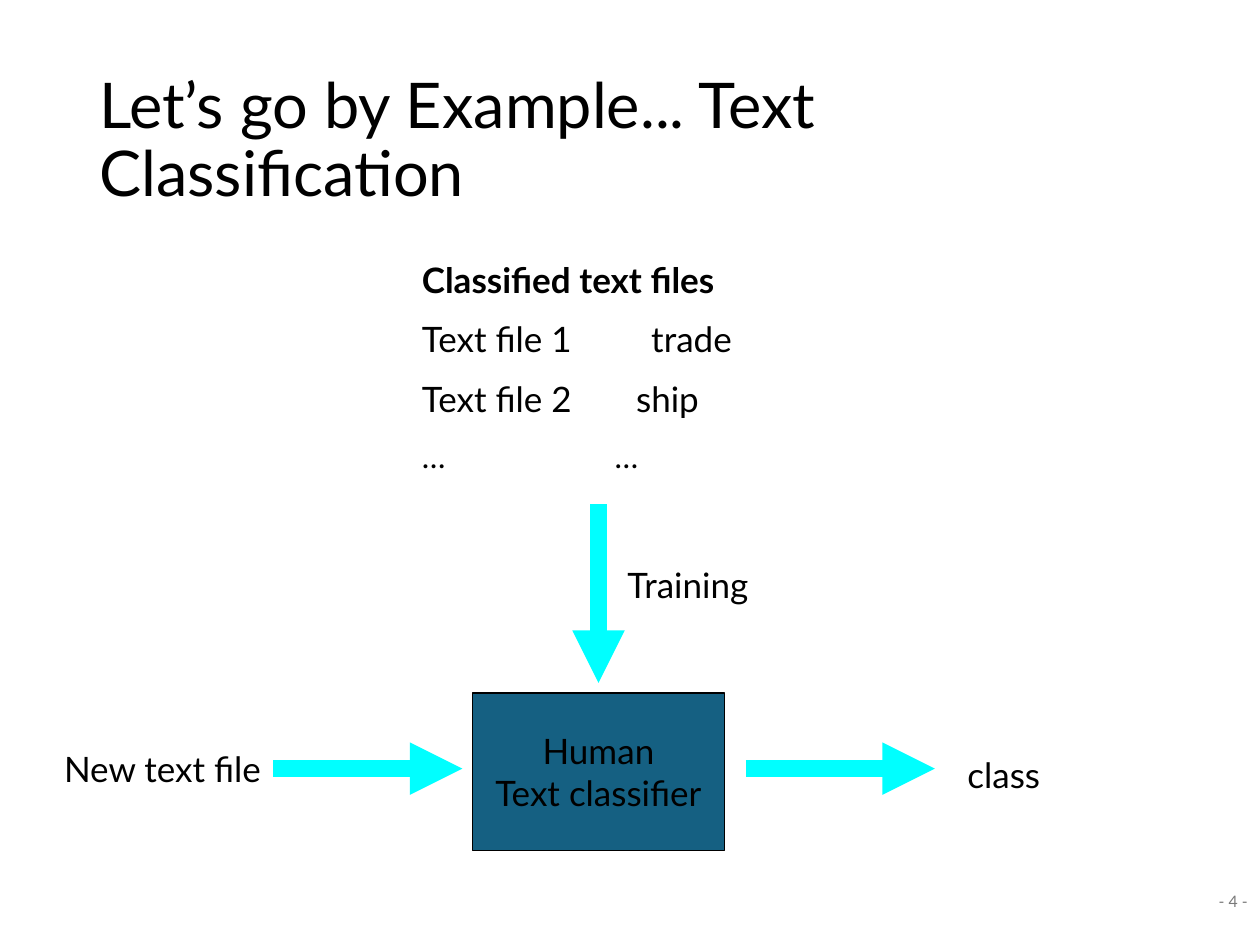
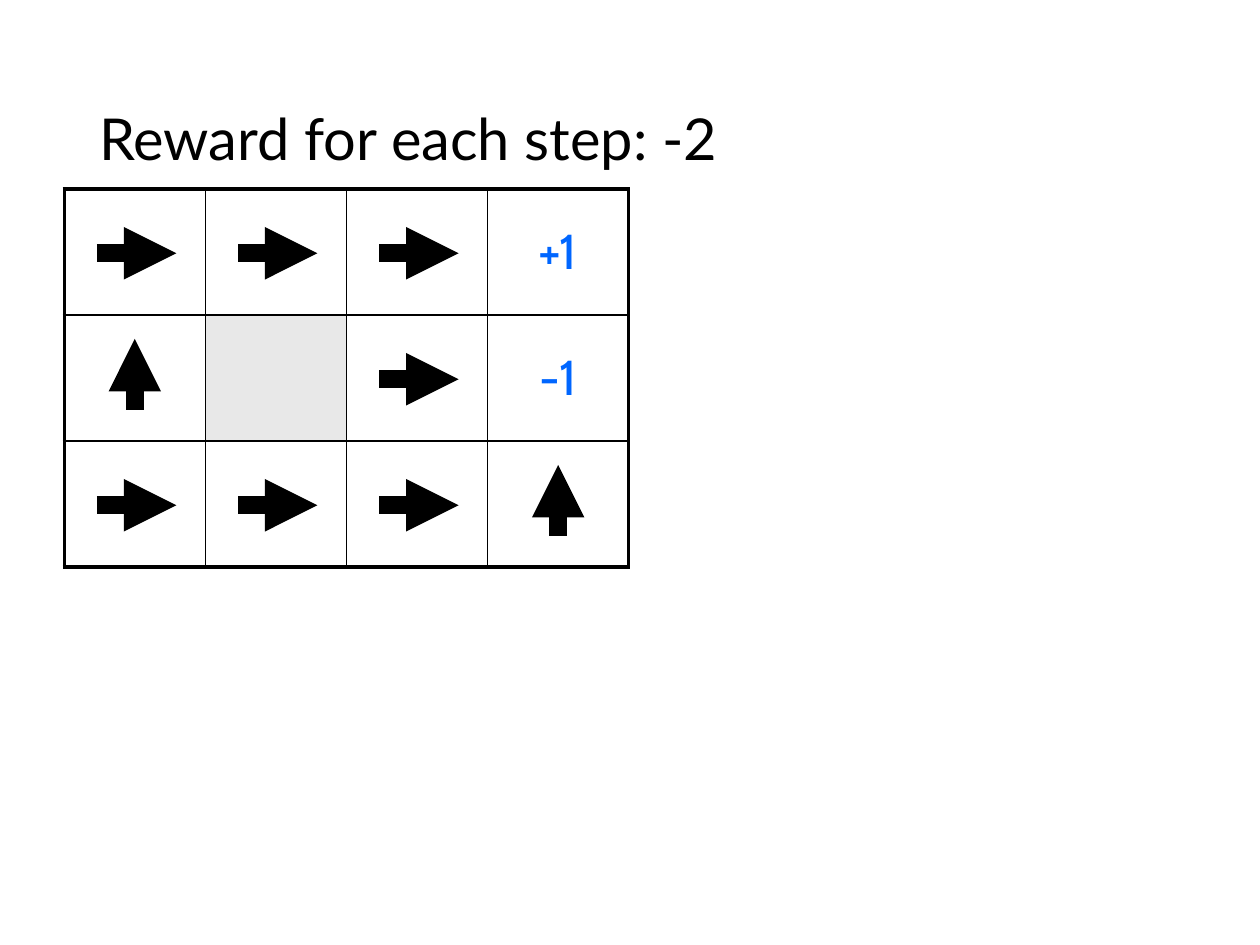
from dataclasses import dataclass

from lxml import etree
from pptx import Presentation
from pptx.dml.color import RGBColor
from pptx.enum.shapes import MSO_CONNECTOR, MSO_SHAPE
from pptx.enum.text import MSO_ANCHOR, PP_ALIGN
from pptx.oxml.ns import qn
from pptx.util import Inches, Pt

LEFT, CENTER, RIGHT = PP_ALIGN.LEFT, PP_ALIGN.CENTER, PP_ALIGN.RIGHT
TOP, MIDDLE = MSO_ANCHOR.TOP, MSO_ANCHOR.MIDDLE
STRAIGHT, RECTANGLE = MSO_CONNECTOR.STRAIGHT, MSO_SHAPE.RECTANGLE


@dataclass(frozen=True)
class Theme:
    font: str = "Lato"
    reward_font: str = "Cabin"
    black: str = "000000"
    white: str = "FFFFFF"
    page_number: str = "797979"
    classifier: str = "156082"
    flow: str = "00FFFF"
    wall: str = "E8E8E8"
    reward: str = "0066FF"
    title_size: int = 36
    small_title_size: int = 33
    reward_size: int = 28
    body_size: int = 20
    ellipsis_size: int = 18
    footer_size: int = 9
    arrow_width: float = 10
    outer_border: float = 2.25
    inner_border: float = 1
    box_border: float = 0.75


THEME = Theme()

TABLE_LEFT, TABLE_TOP = 0.51, 1.5
CELL_WIDTH, CELL_HEIGHT = 1.12, 1.0
POLICY = [
    ["right", "right", "right", "+1"],
    ["up", "wall", "right", "-1"],
    ["right", "right", "right", "up"],
]
MOVES = {
    "right": ((-0.3, 0.01), (0.33, 0.01)),
    "up": ((0, 0.25), (0, -0.31)),
}


def color(value):
    return RGBColor.from_string(value)


def write(para, text, size=THEME.body_size, ink=THEME.black, font=THEME.font,
          bold=False, align=LEFT, before=0, spacing=None, tab=None):
    para.text = text
    para.alignment = align
    para.space_before = Pt(before)
    if spacing:
        para.line_spacing = spacing
    if tab:
        tabs = etree.SubElement(para._p.get_or_add_pPr(), qn("a:tabLst"))
        etree.SubElement(tabs, qn("a:tab"), pos=str(Inches(tab)), algn="l")
    for span in para.runs:
        span.font.name = font
        span.font.size = Pt(size)
        span.font.bold = bold
        span.font.color.rgb = color(ink)


def add_text(page, left, top, width, height, text, anchor=TOP, **style):
    box = page.shapes.add_textbox(Inches(left), Inches(top), Inches(width), Inches(height))
    frame = box.text_frame
    frame.word_wrap = True
    frame.vertical_anchor = anchor
    write(frame.paragraphs[0], text, **style)
    return frame


def add_title(page, text, size):
    add_text(page, 0.69, 0.4, 8.62, 1.45, text, anchor=MIDDLE, size=size, spacing=0.9)


def add_page_number(page, text):
    add_text(page, 7.75, 6.95, 2.25, 0.4, text, anchor=MIDDLE,
             size=THEME.footer_size, ink=THEME.page_number, align=RIGHT)


def add_arrow(page, start, end, ink):
    arrow = page.shapes.add_connector(STRAIGHT, *(Inches(value) for value in (*start, *end)))
    arrow.line.color.rgb = color(ink)
    arrow.line.width = Pt(THEME.arrow_width)
    etree.SubElement(arrow.line._get_or_add_ln(), qn("a:tailEnd"), type="triangle")
    etree.SubElement(arrow._element.spPr, qn("a:effectLst"))


def add_classifier(page, text):
    box = page.shapes.add_shape(RECTANGLE, Inches(3.75), Inches(5.5), Inches(2), Inches(1.25))
    box.shadow.inherit = False
    box.fill.solid()
    box.fill.fore_color.rgb = color(THEME.classifier)
    box.line.color.rgb = color(THEME.black)
    box.line.width = Pt(THEME.box_border)
    box.text_frame.vertical_anchor = MIDDLE
    write(box.text_frame.paragraphs[0], text, align=CENTER)


def add_labelled_files(page):
    frame = add_text(page, 3.25, 2, 2.92, 1.95, "Classified text files", bold=True)
    rows = [
        ("Text file 1\ttrade", 1.82, THEME.body_size),
        ("Text file 2\tship", 1.7, THEME.body_size),
        ("…\t…", 1.53, THEME.ellipsis_size),
    ]
    for text, tab, size in rows:
        write(frame.add_paragraph(), text, size=size, before=10, tab=tab)


def set_border(cell, side, width):
    border = etree.SubElement(cell._tc.get_or_add_tcPr(), qn(f"a:ln{side}"), w=str(Pt(width)))
    fill = etree.SubElement(border, qn("a:solidFill"))
    etree.SubElement(fill, qn("a:srgbClr"), val=THEME.black)


def add_policy_grid(page):
    row_count, column_count = len(POLICY), len(POLICY[0])
    table = page.shapes.add_table(
        row_count, column_count, Inches(TABLE_LEFT), Inches(TABLE_TOP),
        Inches(CELL_WIDTH * column_count), Inches(CELL_HEIGHT * row_count)).table
    table.first_row = False
    table.horz_banding = False
    for row, contents in enumerate(POLICY):
        for column, content in enumerate(contents):
            cell = table.cell(row, column)
            outer_sides = {
                "L": column == 0, "R": column == column_count - 1,
                "T": row == 0, "B": row == row_count - 1,
            }
            for side, outer in outer_sides.items():
                set_border(cell, side, THEME.outer_border if outer else THEME.inner_border)
            cell.fill.solid()
            cell.fill.fore_color.rgb = color(THEME.wall if content == "wall" else THEME.white)
            cell.vertical_anchor = MIDDLE
            if content in MOVES:
                center_x = TABLE_LEFT + (column + 0.5) * CELL_WIDTH
                center_y = TABLE_TOP + (row + 0.5) * CELL_HEIGHT
                start, end = ((center_x + x, center_y + y) for x, y in MOVES[content])
                add_arrow(page, start, end, THEME.black)
            elif content != "wall":
                write(cell.text_frame.paragraphs[0], content, size=THEME.reward_size,
                      ink=THEME.reward, font=THEME.reward_font, align=CENTER)


def build_classification(page):
    add_title(page, "Let’s go by Example... Text Classification", THEME.title_size)
    add_page_number(page, "- 4 -")
    add_labelled_files(page)
    add_classifier(page, "Human\nText classifier")
    add_text(page, 0.33, 5.88, 1.92, 0.44, "New text file", align=CENTER)
    add_text(page, 7.58, 5.93, 1.83, 0.44, "class")
    add_text(page, 4.5, 4.42, 1.92, 0.44, "Training", align=CENTER)
    for start, end in [((2.17, 6.1), (3.67, 6.1)),
                       ((4.75, 4), (4.75, 5.42)),
                       ((5.92, 6.1), (7.42, 6.1))]:
        add_arrow(page, start, end, THEME.flow)


def build_reward(page):
    add_title(page, "Reward for each step: -2", THEME.small_title_size)
    add_policy_grid(page)


def main():
    deck = Presentation()
    deck.slide_width, deck.slide_height = Inches(10), Inches(7.5)
    for build in (build_classification, build_reward):
        build(deck.slides.add_slide(deck.slide_layouts[6]))
    deck.save("out.pptx")


if __name__ == "__main__":
    main()
